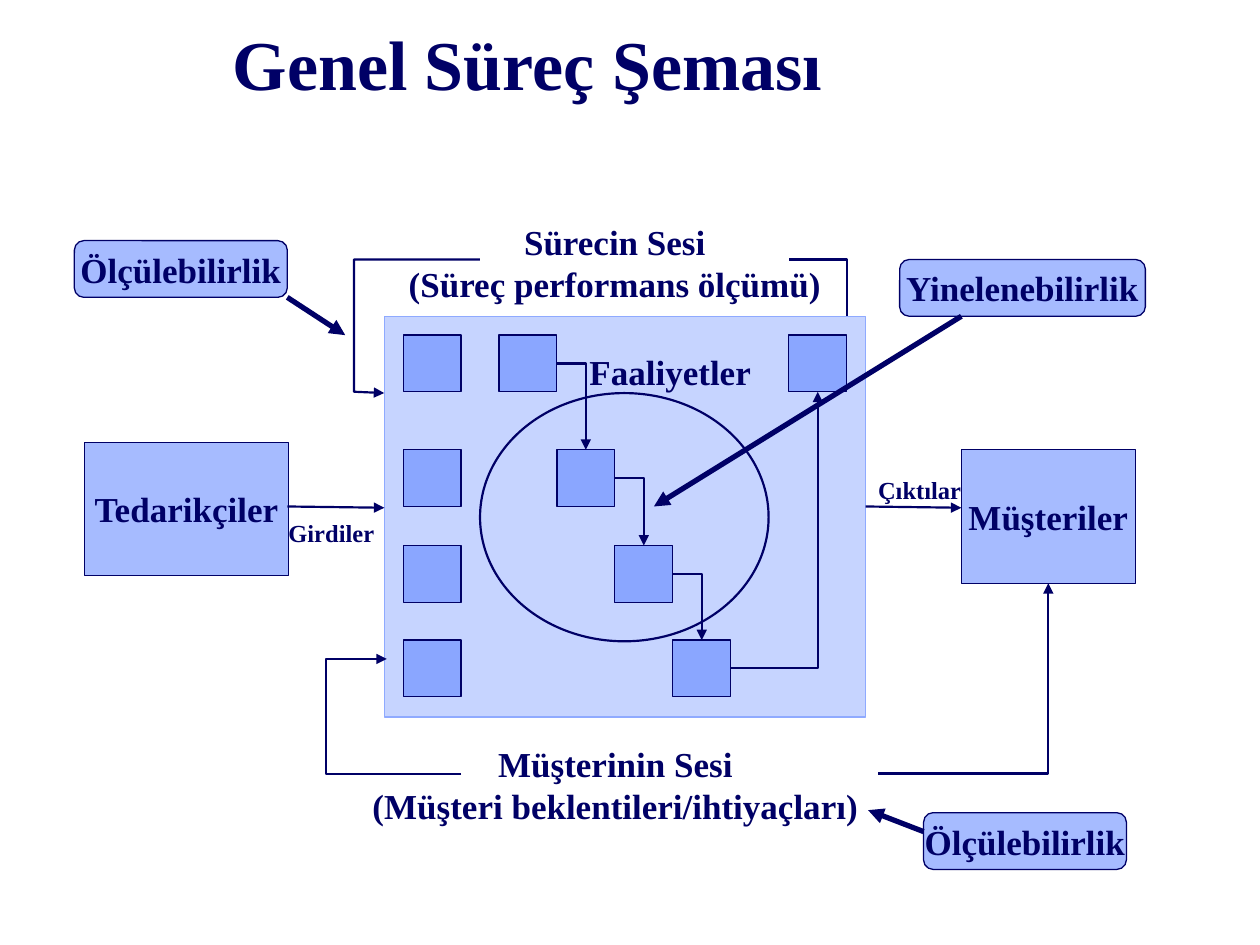
"""Build the general process diagram slide."""
from dataclasses import dataclass
from itertools import pairwise
from typing import Any, NamedTuple

from lxml import etree
from pptx import Presentation
from pptx import util as u
from pptx.dml import color
from pptx.enum import shapes, text
from pptx.oxml import ns

Point = tuple[float, float]
KIND = shapes.MSO_SHAPE
ALIGN = text.PP_ALIGN
ANCHOR = text.MSO_ANCHOR


@dataclass(frozen=True)
class Theme:
    """Colours, type sizes and line widths."""
    ink: str = "000066"
    box: str = "4F79FF"
    panel: str = "8FAAFF"
    opacity: int = 50
    font: str = "Times New Roman"
    title: float = 40
    body: float = 20
    small: float = 14
    hairline: float = 0.75
    flow: float = 1.25
    pointer: float = 3


class Area(NamedTuple):
    """A rectangle in inches."""
    left: float
    top: float
    width: float
    height: float


class Node(NamedTuple):
    """A filled or open shape, with or without a label."""
    area: Area
    label: str = ""
    kind: Any = KIND.RECTANGLE
    fill: str | None = Theme.box
    edge: str = Theme.ink
    width: float = Theme.hairline


class Caption(NamedTuple):
    """Free text on the slide."""
    area: Area
    label: str
    size: float = Theme.body
    align: Any = ALIGN.LEFT
    anchor: Any = ANCHOR.TOP


class Arrow(NamedTuple):
    """A connector with an arrowhead at its end."""
    start: Point
    end: Point
    width: float = Theme.flow
    bent: bool = False


class Track(NamedTuple):
    """An open line through several points."""
    points: list[Point]
    head: bool = True


THEME = Theme()
STEP_WIDTH, STEP_HEIGHT = 0.46, 0.45
ROWS = [2.66, 3.57, 4.33, 5.08]
INPUT_STEPS = [Area(3.2, top, STEP_WIDTH, STEP_HEIGHT) for top in ROWS]
CHAIN = [Area(3.96 + STEP_WIDTH * i, top, STEP_WIDTH, STEP_HEIGHT) for i, top in enumerate(ROWS)]
LAST_STEP = Area(6.26, ROWS[0], STEP_WIDTH, STEP_HEIGHT)

BACK = [
    Node(Area(3.05, 2.51, 3.82, 3.18), fill=THEME.panel, edge=THEME.panel),
    Node(Area(0.59, 1.91, 1.69, 0.45), "Ölçülebilirlik", KIND.ROUNDED_RECTANGLE),
    Node(Area(7.14, 2.06, 1.95, 0.45), "Yinelenebilirlik", KIND.ROUNDED_RECTANGLE),
    Node(Area(7.33, 6.45, 1.61, 0.45), "Ölçülebilirlik", KIND.ROUNDED_RECTANGLE),
    Node(Area(0.67, 3.51, 1.62, 1.06), "Tedarikçiler"),
    Node(Area(7.63, 3.57, 1.38, 1.06), "Müşteriler"),
]
CAPTIONS = [
    Caption(Area(1.75, 0.08, 7.67, 0.83), "Genel Süreç Şeması", THEME.title, anchor=ANCHOR.MIDDLE),
    Caption(Area(2.95, 1.7, 3.86, 0.79), "Sürecin Sesi\n(Süreç performans ölçümü)", align=ALIGN.CENTER),
    Caption(Area(2.8, 5.84, 4.17, 0.61), "Müşterinin Sesi\n(Müşteri beklentileri/ihtiyaçları)",
            align=ALIGN.CENTER),
    Caption(Area(2.19, 4.06, 0.92, 0.3), "Girdiler", THEME.small),
    Caption(Area(6.87, 3.72, 0.92, 0.3), "Çıktılar", THEME.small),
]
TRACKS = [
    Track([(6.72, 2.51), (6.72, 2.06), (6.26, 2.06)], head=False),
    Track([(3.81, 2.06), (2.81, 2.06), (2.81, 3.11), (3.05, 3.12)]),
    Track([(3.66, 6.14), (2.59, 6.14), (2.59, 5.23), (3.07, 5.23)]),
]
ARROWS = [
    Arrow((6.97, 6.14), (8.32, 4.63), bent=True),
    Arrow((2.28, 2.36), (2.74, 2.66), THEME.pointer),
    Arrow((7.33, 6.6), (6.89, 6.43), THEME.pointer),
    Arrow((2.28, 4.02), (3.05, 4.03)),
    Arrow((6.87, 4.02), (7.63, 4.03)),
]
CYCLE = Node(Area(3.81, 3.12, 2.29, 1.97), kind=KIND.OVAL, fill=None, width=THEME.flow)
ACTIVITIES = Caption(Area(4.58, 2.73, 1.53, 0.45), "Faaliyetler")
REPEAT_POINTER = Arrow((7.63, 2.51), (5.19, 4.02), THEME.pointer)


def assign(target: Any, values: dict[str, Any]) -> None:
    """Set each named attribute on the target."""
    for name, value in values.items():
        setattr(target, name, value)


def inches(values: tuple[float, ...]) -> list[int]:
    """Convert numbers to lengths."""
    return [u.Inches(value) for value in values]


def style_line(shape: Any, edge: str, width: float, head: bool = False) -> None:
    """Colour the line and give it an optional arrowhead."""
    shape.line.color.rgb = color.RGBColor.from_string(edge)
    shape.line.width = u.Pt(width)
    if head:
        line = shape._element.spPr.find(ns.qn("a:ln"))
        etree.SubElement(line, ns.qn("a:tailEnd"), type="triangle")


def write(frame: Any, label: str, size: float, align: Any, frame_values: dict[str, Any]) -> None:
    """Fill a text frame, one paragraph for each line of the label."""
    assign(frame, frame_values)
    frame.text = label
    for para in frame.paragraphs:
        para.alignment = align
        for span in para.runs:
            assign(span.font, {"name": THEME.font, "size": u.Pt(size), "bold": True})
            span.font.color.rgb = color.RGBColor.from_string(THEME.ink)


def draw_node(page: Any, node: Node) -> None:
    """Draw a shape with a half transparent fill."""
    box = page.shapes.add_shape(node.kind, *inches(node.area))
    box.shadow.inherit = False
    if node.fill:
        box.fill.solid()
        box.fill.fore_color.rgb = color.RGBColor.from_string(node.fill)
        shade = box._element.spPr.find(".//" + ns.qn("a:srgbClr"))
        etree.SubElement(shade, ns.qn("a:alpha"), val=str(THEME.opacity * 1000))
    else:
        box.fill.background()
    style_line(box, node.edge, node.width)
    if node.label:
        write(box.text_frame, node.label, THEME.body, ALIGN.CENTER,
              {"word_wrap": False, "vertical_anchor": ANCHOR.MIDDLE})


def draw_caption(page: Any, caption: Caption) -> None:
    """Draw a wrapping text box."""
    box = page.shapes.add_textbox(*inches(caption.area))
    write(box.text_frame, caption.label, caption.size, caption.align,
          {"word_wrap": True, "vertical_anchor": caption.anchor})


def draw_track(page: Any, track: Track) -> None:
    """Draw an open line."""
    first, *rest = [tuple(inches(point)) for point in track.points]
    builder = page.shapes.build_freeform(*first)
    builder.add_line_segments(rest, close=False)
    shape = builder.convert_to_shape()
    shape.shadow.inherit = False
    shape.fill.background()
    style_line(shape, THEME.ink, THEME.flow, track.head)


def draw_arrow(page: Any, arrow: Arrow) -> None:
    """Draw a straight or single-corner connector."""
    kind = shapes.MSO_CONNECTOR.ELBOW if arrow.bent else shapes.MSO_CONNECTOR.STRAIGHT
    link = page.shapes.add_connector(kind, *inches(arrow.start + arrow.end))
    properties = link._element.spPr
    if arrow.bent:
        properties.find(ns.qn("a:prstGeom")).set("prst", "bentConnector2")
    style_line(link, THEME.ink, arrow.width, head=True)
    etree.SubElement(properties, ns.qn("a:effectLst"))


def step_arrows() -> list[Arrow]:
    """Link each step to the next, and the final one up to the last step."""
    links = []
    for step, target in pairwise([*CHAIN, LAST_STEP]):
        edge = target.top if target.top > step.top else target.top + target.height
        start = (step.left + step.width, step.top + step.height / 2)
        links.append(Arrow(start, (target.left + target.width / 2, edge), bent=True))
    return links


def main() -> None:
    """Build and save the deck."""
    deck = Presentation()
    assign(deck, {"slide_width": u.Inches(10), "slide_height": u.Inches(7.5)})
    page = deck.slides.add_slide(deck.slide_layouts[6])
    steps = [Node(area) for area in [*INPUT_STEPS, *CHAIN, LAST_STEP]]
    layers = [(draw_node, BACK), (draw_caption, CAPTIONS), (draw_track, TRACKS),
              (draw_arrow, ARROWS), (draw_node, [*steps, CYCLE]), (draw_arrow, step_arrows()),
              (draw_caption, [ACTIVITIES]), (draw_arrow, [REPEAT_POINTER])]
    for draw, items in layers:
        for item in items:
            draw(page, item)
    deck.save("out.pptx")


if __name__ == "__main__":
    main()
